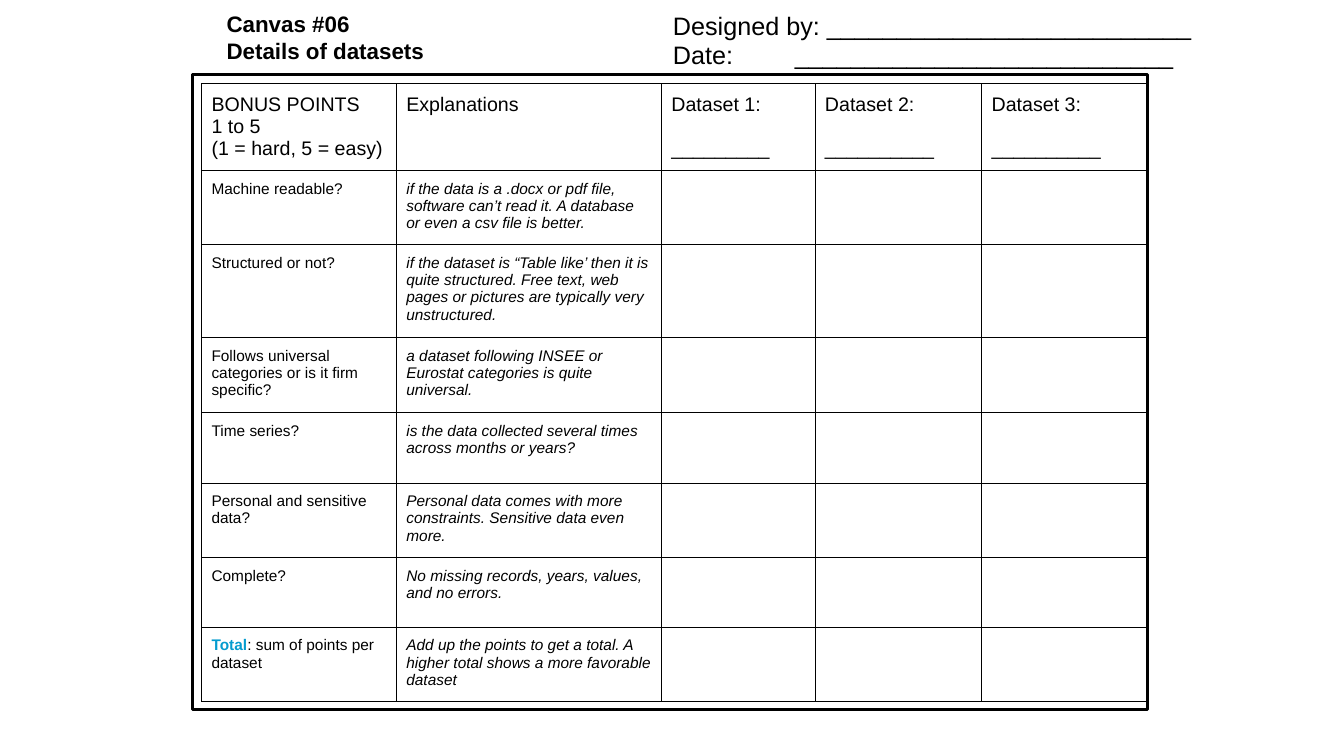
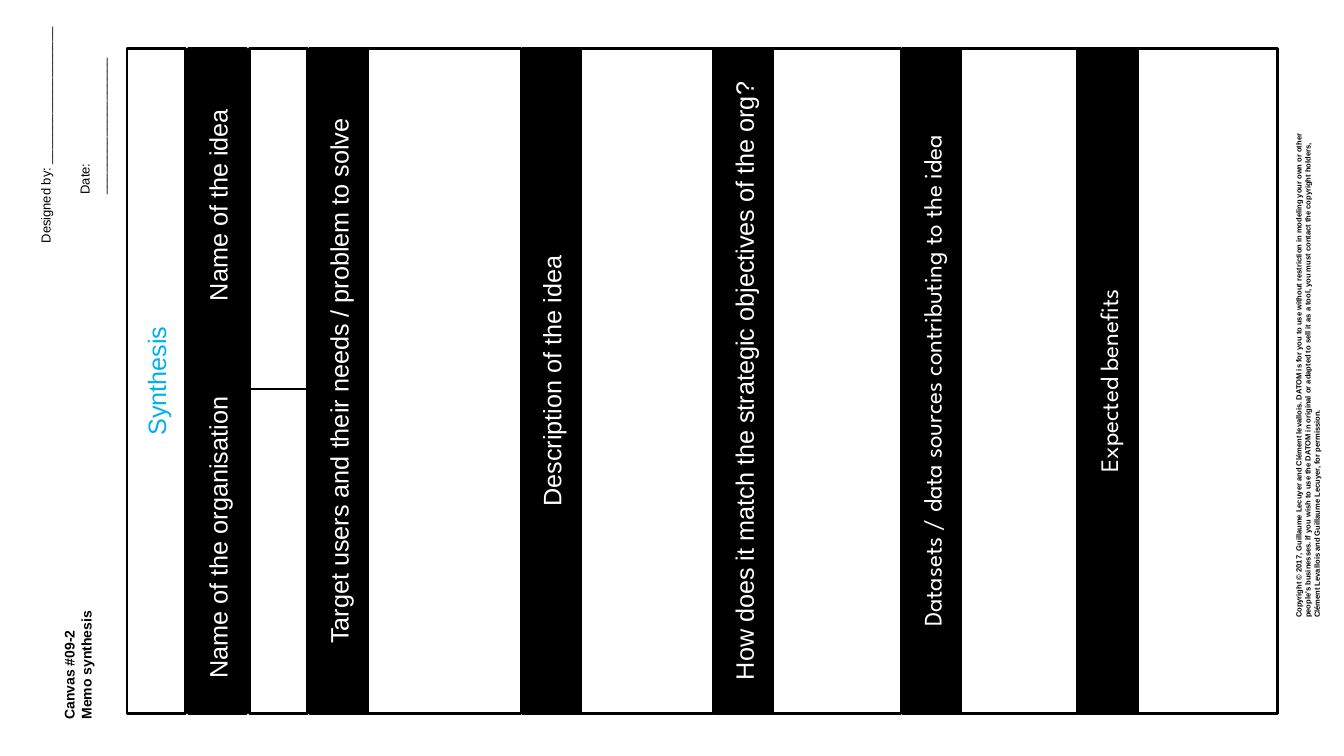
"""Build two worksheet canvases: a dataset scoring grid and a memo synthesis."""
import dataclasses

import pptx
import pptx.dml.color
import pptx.enum.shapes
import pptx.enum.text
import pptx.oxml.ns
import pptx.util
from lxml import etree

Cm = pptx.util.Cm
Pt = pptx.util.Pt
Align = pptx.enum.text.PP_ALIGN
Anchor = pptx.enum.text.MSO_ANCHOR


@dataclasses.dataclass(frozen=True)
class Theme:
    """Colours, fonts, type sizes in points and insets in centimetres."""
    ink: str = "000000"
    paper: str = "FFFFFF"
    total: str = "049CCF"
    synthesis: str = "00B0F0"
    font: str = "Arial"
    display_font: str = "League Spartan"
    title: float = 16
    heading: float = 18
    table_head: float = 14
    table_body: float = 11
    small_title: float = 10
    small_field: float = 9.3
    copyright: float = 5.4
    inset: float = 0.25
    small_inset: float = 0.18
    frame_line: float = 2.25
    panel_line: float = 2
    grid_line: float = 0.75


THEME = Theme()

CRITERIA = [
    ("Machine readable?",
     "if the data is a .docx or pdf file, software can’t read it. "
     "A database or even a csv file is better.", 1.88),
    ("Structured or not?",
     "if the dataset is “Table like’ then it is quite structured. Free text, "
     "web pages or pictures are typically very unstructured.", 2.34),
    ("Follows universal categories or is it firm specific?",
     "a dataset following INSEE or Eurostat categories is quite universal.", 1.88),
    ("Time series?",
     "is the data collected several times across months or years?", 1.78),
    ("Personal and sensitive data?",
     "Personal data comes with more constraints. Sensitive data even more.", 1.88),
    ("Complete?", "No missing records, years, values, and no errors.", 1.75),
    ([("Total", THEME.total), (": sum of points per dataset", None)],
     "Add up the points to get a total. A higher total shows a more "
     "favorable dataset", 1.88),
]

SECTIONS = [
    ("Target users and their needs / problem to solve", 3.86, THEME.font),
    ("Description of the idea", 3.35, THEME.font),
    ("How does it match the strategic objectives of the org?", 3.23, THEME.font),
    ("Datasets / data sources contributing to the idea", 2.95, THEME.display_font),
    ("Expected benefits", 3.53, THEME.display_font),
]

COPYRIGHT = (
    "Copyright © 2017, Guillaume Lecuyer and Clément levallois. DATOM is for you "
    "to use without restriction in modeling your own or other people's businesses. "
    "If you wish to use the DATOM in original or adapted to sell it as a tool, you "
    "must contact the copyright holders, Clément Levallois and Guillaume Lecuyer, "
    "for permission."
)


def rgb(code):
    """Turn a hex code into a colour."""
    return pptx.dml.color.RGBColor.from_string(code)


def place(shape, area, turned=False):
    """Put a shape on a visible area in cm, reading upwards when turned."""
    left, top, width, height = area
    if turned:
        left, top = left + (width - height) / 2, top + (height - width) / 2
        width, height = height, width
        shape.rotation = 270
    shape.left, shape.top = Cm(left), Cm(top)
    shape.width, shape.height = Cm(width), Cm(height)


def set_tab(paragraph, position):
    """Add a left tab stop at a position in cm."""
    properties = paragraph._p.get_or_add_pPr()
    stops = etree.SubElement(properties, pptx.oxml.ns.qn("a:tabLst"))
    etree.SubElement(stops, pptx.oxml.ns.qn("a:tab"),
                     pos=str(int(Cm(position))), algn="l")


def write(frame, lines, size, color=THEME.ink, font=THEME.font, bold=False,
          italic=False, align=Align.LEFT, line_gap=0, tab=None):
    """Write lines as paragraphs; a line is a string or (text, accent) runs."""
    for index, line in enumerate(lines):
        paragraph = frame.paragraphs[0] if index == 0 else frame.add_paragraph()
        paragraph.alignment = align
        if index and line_gap:
            paragraph.space_before = Pt(line_gap)
        if tab:
            set_tab(paragraph, tab)
        paragraph.font.name = font
        paragraph.font.size = Pt(size)
        paragraph.font.bold = bold
        paragraph.font.italic = italic
        paragraph.font.color.rgb = rgb(color)
        for text, accent in [(line, None)] if isinstance(line, str) else line:
            run = paragraph.add_run()
            run.text = text
            if accent:
                run.font.bold = True
                run.font.color.rgb = rgb(accent)


def set_frame(frame, inset, anchor=Anchor.TOP):
    """Wrap a text frame and give it even insets in cm."""
    frame.word_wrap = True
    frame.auto_size = pptx.enum.text.MSO_AUTO_SIZE.NONE
    frame.vertical_anchor = anchor
    frame.margin_left = frame.margin_right = Cm(inset)
    frame.margin_top = frame.margin_bottom = Cm(inset)


def add_title(slide, lines, area, size, inset, turned=False):
    """Fill the title placeholder."""
    title = slide.shapes.title
    place(title, area, turned)
    set_frame(title.text_frame, inset)
    write(title.text_frame, lines, size, bold=True)


def add_text(slide, lines, area, size, inset, turned=False, anchor=Anchor.TOP, **style):
    """Add a plain text box."""
    box = slide.shapes.add_textbox(0, 0, 0, 0)
    place(box, area, turned)
    set_frame(box.text_frame, inset, anchor)
    write(box.text_frame, lines, size, **style)


def add_panel(slide, area, fill=None, line=THEME.panel_line, turned=True):
    """Add an outlined rectangle and return it."""
    panel = slide.shapes.add_shape(
        pptx.enum.shapes.MSO_SHAPE.RECTANGLE, 0, 0, 0, 0)
    place(panel, area, turned)
    panel.shadow.inherit = False
    panel.line.color.rgb = rgb(THEME.ink)
    panel.line.width = Pt(line)
    if fill:
        panel.fill.solid()
        panel.fill.fore_color.rgb = rgb(fill)
    else:
        panel.fill.background()
    return panel


def add_heading(slide, text, area, fill=THEME.ink, color=THEME.paper, font=THEME.font):
    """Add a turned heading band with centred text."""
    frame = add_panel(slide, area, fill).text_frame
    frame.word_wrap = True
    frame.vertical_anchor = Anchor.MIDDLE
    write(frame, [text], THEME.heading, color, font, align=Align.CENTER)


def set_borders(cell):
    """Outline a table cell on all four sides."""
    properties = cell._tc.get_or_add_tcPr()
    for position, side in enumerate(("lnL", "lnR", "lnT", "lnB")):
        edge = etree.Element(pptx.oxml.ns.qn(f"a:{side}"),
                             w=str(int(Pt(THEME.grid_line))))
        fill = etree.SubElement(edge, pptx.oxml.ns.qn("a:solidFill"))
        etree.SubElement(fill, pptx.oxml.ns.qn("a:srgbClr"), val=THEME.ink)
        properties.insert(position, edge)


def add_scoring_table(slide):
    """Add the grid that scores three datasets against the criteria."""
    columns = [4.91, 6.68, 3.87, 4.2, 4.19]
    rows = [2.18] + [height for _, _, height in CRITERIA]
    table = slide.shapes.add_table(
        len(rows), len(columns), Cm(5.08), Cm(2.11),
        Cm(sum(columns)), Cm(sum(rows))).table
    table.first_row = table.horz_banding = False
    for column, width in zip(table.columns, columns):
        column.width = Cm(width)
    for row, height in zip(table.rows, rows):
        row.height = Cm(height)
    for cell in table.iter_cells():
        cell.fill.background()
        cell.margin_left = cell.margin_right = Cm(THEME.inset)
        cell.margin_top = cell.margin_bottom = Cm(THEME.inset)
        set_borders(cell)

    scale = ["BONUS POINTS", "1 to 5", "(1 = hard, 5 = easy)"]
    datasets = [[f"Dataset {number}:", "_" * blanks]
                for number, blanks in ((1, 9), (2, 10), (3, 10))]
    for column, lines in enumerate([scale, ["Explanations"], *datasets]):
        write(table.cell(0, column).text_frame, lines, THEME.table_head,
              line_gap=16 if column > 1 else 0)
    for row, (question, explanation, _) in enumerate(CRITERIA, 1):
        write(table.cell(row, 0).text_frame, [question], THEME.table_body)
        write(table.cell(row, 1).text_frame, [explanation], THEME.table_body,
              italic=True)


def build_datasets(slide):
    """Build the canvas with the details of datasets."""
    add_panel(slide, (4.85, 1.88, 24.08, 16), line=THEME.frame_line, turned=False)
    add_title(slide, ["Canvas #06", "Details of datasets"],
              (5.46, 0, 10.8, 1.65), THEME.title, THEME.inset)
    add_scoring_table(slide)
    fields = ["Designed by: " + "_" * 26, "Date:\t" + "_" * 27]
    for index, field in enumerate(fields):
        add_text(slide, [field], (16.71, index * 0.74, 15.42, 1.14),
                 THEME.heading, THEME.inset, tab=3.07)


def build_synthesis(slide):
    """Build the canvas with the memo synthesis, read from the right side."""
    add_title(slide, ["Canvas #09-2", "Memo synthesis"],
              (1.35, 12.37, 1.73, 5.94), THEME.small_title, THEME.small_inset, True)
    blank = "_" * 19
    for lines, area in (
            (["Designed by: " + blank], (0.77, 0, 1.93, 6.31)),
            (["Date:", blank], (1.75, 0, 1.35, 5.08))):
        add_text(slide, lines, area, THEME.small_field, THEME.small_inset, True)
    add_text(slide, [COPYRIGHT], (32.46, 3.02, 0.99, 12.73), THEME.copyright,
             THEME.small_inset, True, Anchor.MIDDLE, bold=True)

    top, height, band, gap = 1.22, 16.76, 1.47, 0.03
    bottom = top + height
    add_heading(slide, "Synthesis", (3.2, top, band, height), None, THEME.synthesis)
    name_split, answer_split = 9.11, 9.8
    add_heading(slide, "Name of the organisation",
                (4.75, name_split, band, bottom - name_split))
    add_heading(slide, "Name of the idea", (4.75, top, band, name_split - top))
    for start, end in ((top, answer_split), (answer_split, bottom)):
        add_panel(slide, (6.28, start, band, end - start), THEME.paper)

    left = 7.8
    for text, answer_width, font in SECTIONS:
        add_heading(slide, text, (left, top, band, height), font=font)
        add_panel(slide, (left + band, top, answer_width, height), THEME.paper)
        left += band + answer_width + gap


def main():
    """Build and save the presentation."""
    deck = pptx.Presentation()
    deck.slide_width, deck.slide_height = Cm(33.87), Cm(19.05)
    title_only = deck.slide_layouts[5]
    for build in (build_datasets, build_synthesis):
        build(deck.slides.add_slide(title_only))
    deck.save("out.pptx")


if __name__ == "__main__":
    main()
